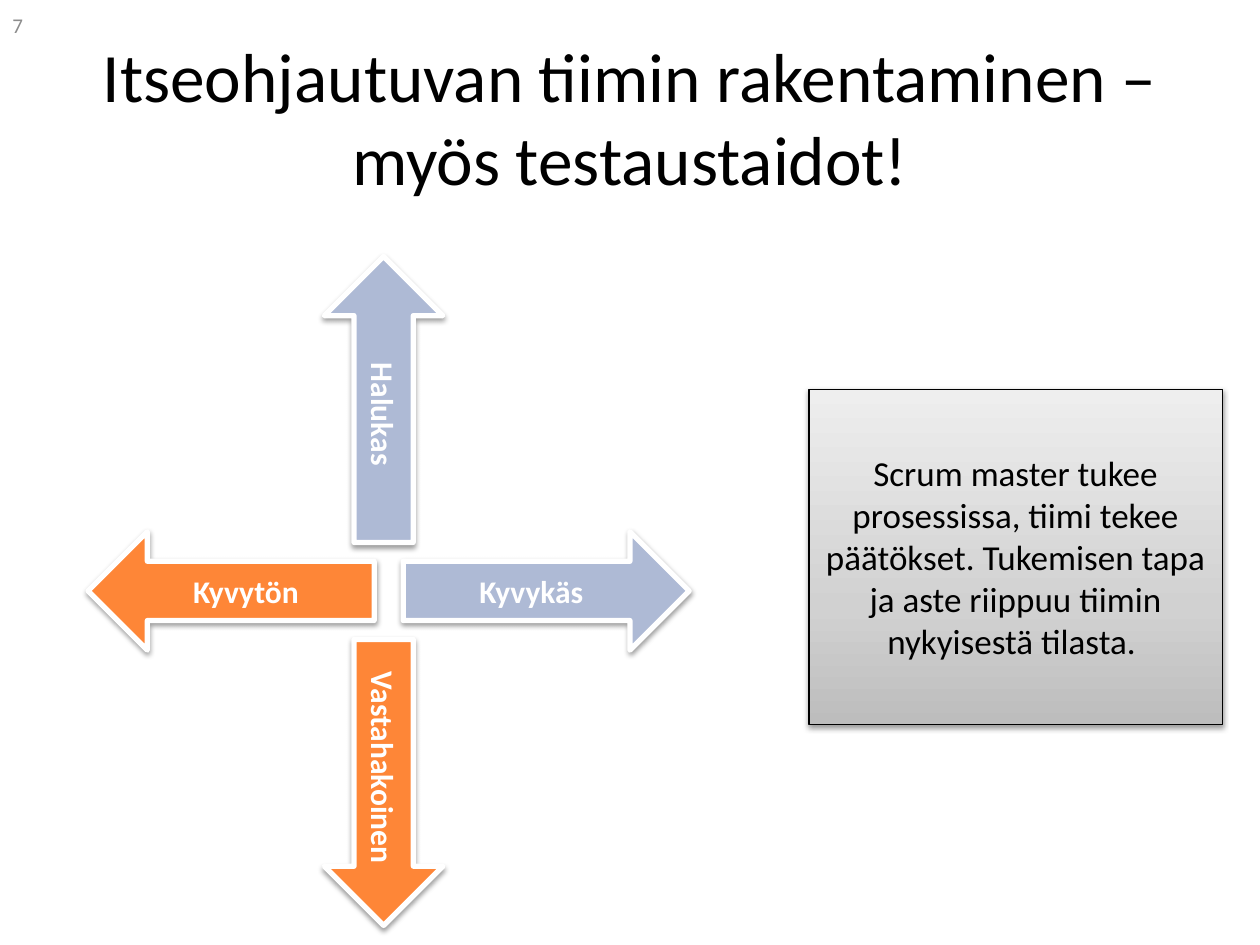
from dataclasses import dataclass

from lxml import etree
from pptx import Presentation
from pptx import oxml
from pptx import util as u
from pptx.dml.color import RGBColor
from pptx.enum import shapes, text
from pptx.oxml import ns
from pptx.shapes.autoshape import Shape
from pptx.slide import Slide

FONT = "Calibri"
HEX = {
    "ink": "000000",
    "paper": "FFFFFF",
    "blue": "AEBAD5",
    "orange": "FE8637",
    "grey": "8C8C8C",
}
STOPS = [(0, "BDBDBD"), (35, "D1D1D1"), (100, "EEEEEE")]
WIDE, HIGH = 2.27, 0.94


@dataclass
class Arrow:
    label: str
    left: float
    top: float
    fill: str
    turn: int = 0
    flip: bool = False


ARROWS = [
    Arrow("Kyvykäs", 3.2, 4.22, "blue"),
    Arrow("Kyvytön", 0.7, 4.22, "orange", flip=True),
    Arrow("Halukas", 1.91, 2.7, "blue", turn=90, flip=True),
    Arrow("Vastahakoinen", 1.91, 5.74, "orange", turn=90),
]


def color(name: str) -> RGBColor:
    return RGBColor.from_string(HEX[name])


def write(shape: Shape, words: str, size: float, ink: str,
          bold: bool = False, align=text.PP_ALIGN.CENTER) -> None:
    frame = shape.text_frame
    frame.word_wrap = True
    frame.vertical_anchor = text.MSO_ANCHOR.MIDDLE
    para = frame.paragraphs[0]
    para.text = words
    para.alignment = align
    font = para.font
    font.name, font.size, font.bold = FONT, u.Pt(size), bold
    font.color.rgb = color(ink)


def edge(shape: Shape, name: str, width: float) -> None:
    shape.line.color.rgb = color(name)
    shape.line.width = u.Pt(width)


def shade(shape: Shape) -> None:
    shape.shadow.inherit = False
    effect = shape.element.spPr.find(ns.qn("a:effectLst"))
    drop = etree.SubElement(
        effect, ns.qn("a:outerShdw"), blurRad=str(u.Pt(3.1)),
        dist=str(u.Pt(1.6)), dir="5400000", rotWithShape="0")
    tint = etree.SubElement(drop, ns.qn("a:srgbClr"), val=HEX["ink"])
    etree.SubElement(tint, ns.qn("a:alpha"), val="38000")


def blend(shape: Shape) -> None:
    stops = "".join(
        f'<a:gs pos="{pos * 1000}"><a:srgbClr val="{tint}"/></a:gs>'
        for pos, tint in STOPS)
    shape.element.spPr.append(oxml.parse_xml(
        f'<a:gradFill {ns.nsdecls("a")} rotWithShape="1">'
        f'<a:gsLst>{stops}</a:gsLst>'
        '<a:lin ang="16200000" scaled="0"/></a:gradFill>'))


def draw(slide: Slide, arrow: Arrow) -> None:
    shape = slide.shapes.add_shape(
        shapes.MSO_SHAPE.RIGHT_ARROW, u.Inches(arrow.left),
        u.Inches(arrow.top), u.Inches(WIDE), u.Inches(HIGH))
    shape.rotation = arrow.turn
    if arrow.flip:
        shape.element.spPr.xfrm.set("flipH", "1")
    shape.fill.solid()
    shape.fill.fore_color.rgb = color(arrow.fill)
    edge(shape, "paper", 3)
    shade(shape)
    write(shape, arrow.label, 18, "paper", bold=True)


def main() -> None:
    deck = Presentation()
    deck.slide_width, deck.slide_height = u.Inches(10), u.Inches(7.5)
    slide = deck.slides.add_slide(deck.slide_layouts[5])

    title = slide.shapes.title
    title.left, title.top = u.Inches(0.5), u.Inches(0.3)
    title.width, title.height = u.Inches(9), u.Inches(1.25)
    write(title, "Itseohjautuvan tiimin rakentaminen – myös testaustaidot!",
          39.6, "ink")

    note = slide.shapes.add_shape(
        shapes.MSO_SHAPE.RECTANGLE, u.Inches(6.42), u.Inches(3.09),
        u.Inches(3.28), u.Inches(2.66))
    blend(note)
    edge(note, "ink", 0.75)
    shade(note)
    write(note, "Scrum master tukee prosessissa, tiimi tekee päätökset. "
          "Tukemisen tapa ja aste riippuu tiimin nykyisestä tilasta. ",
          20, "ink")

    for arrow in ARROWS:
        draw(slide, arrow)

    number = slide.shapes.add_textbox(
        0, 0, u.Inches(2.33), u.Inches(0.4))
    write(number, "7", 12, "grey", align=text.PP_ALIGN.LEFT)

    deck.save("out.pptx")


if __name__ == "__main__":
    main()
